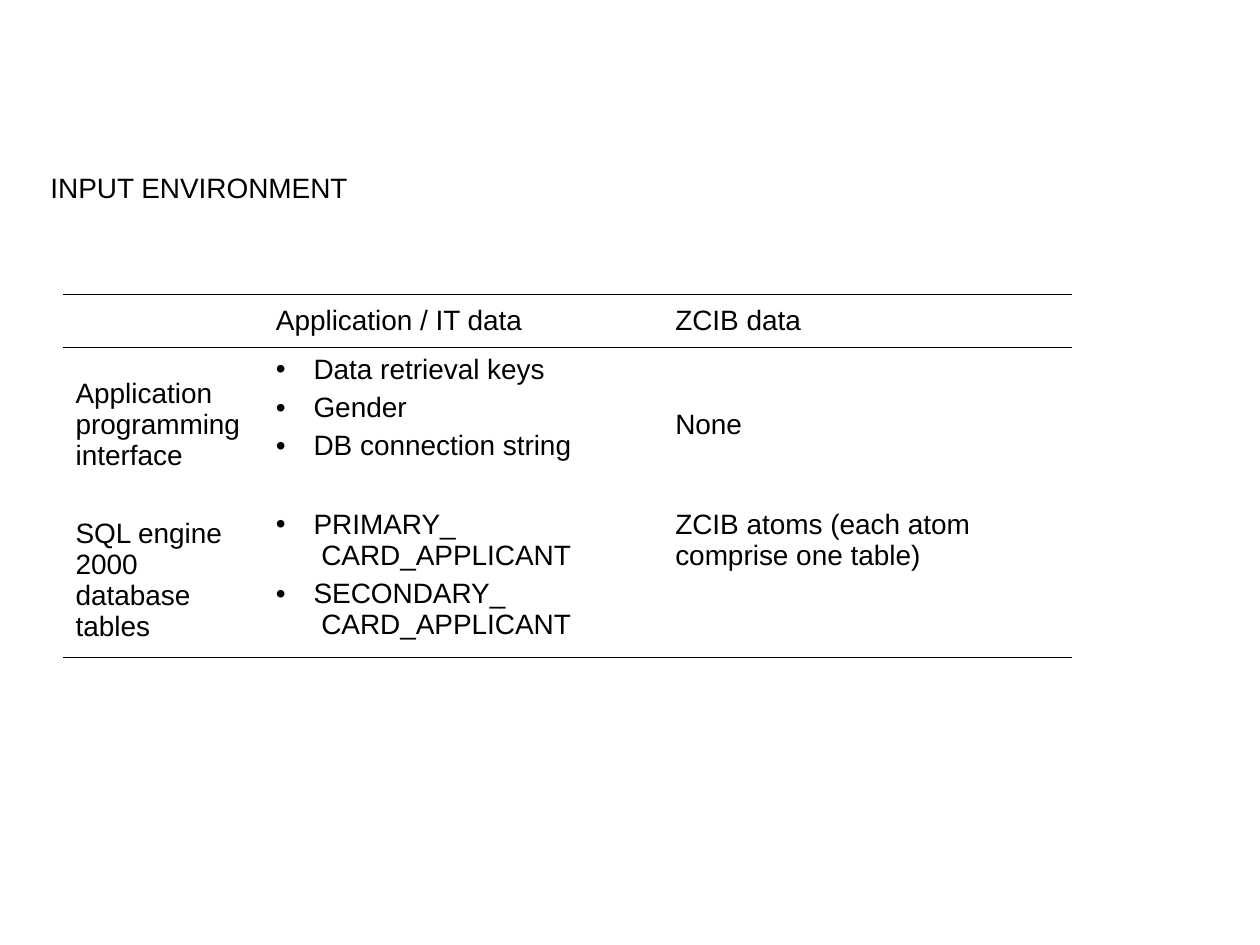
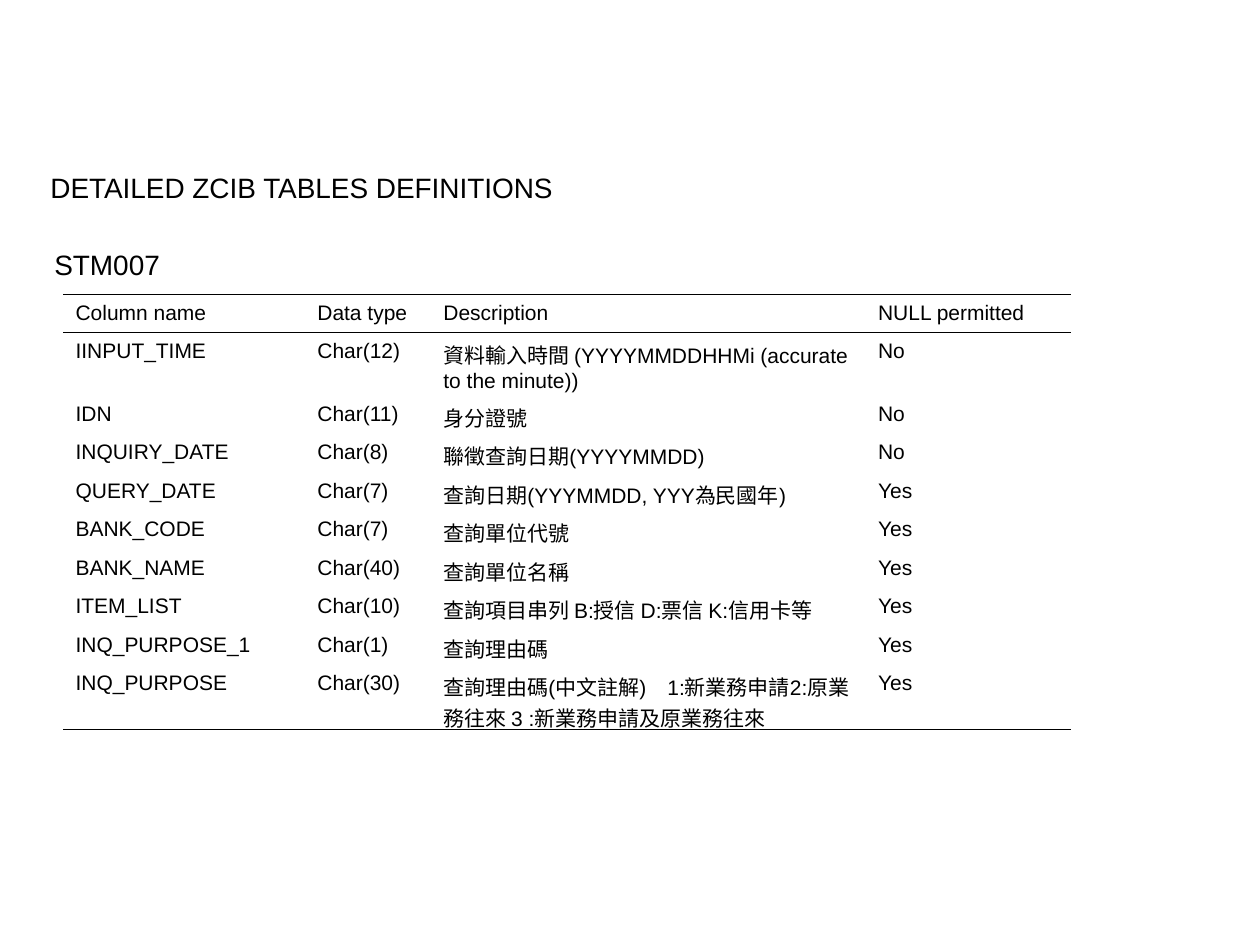
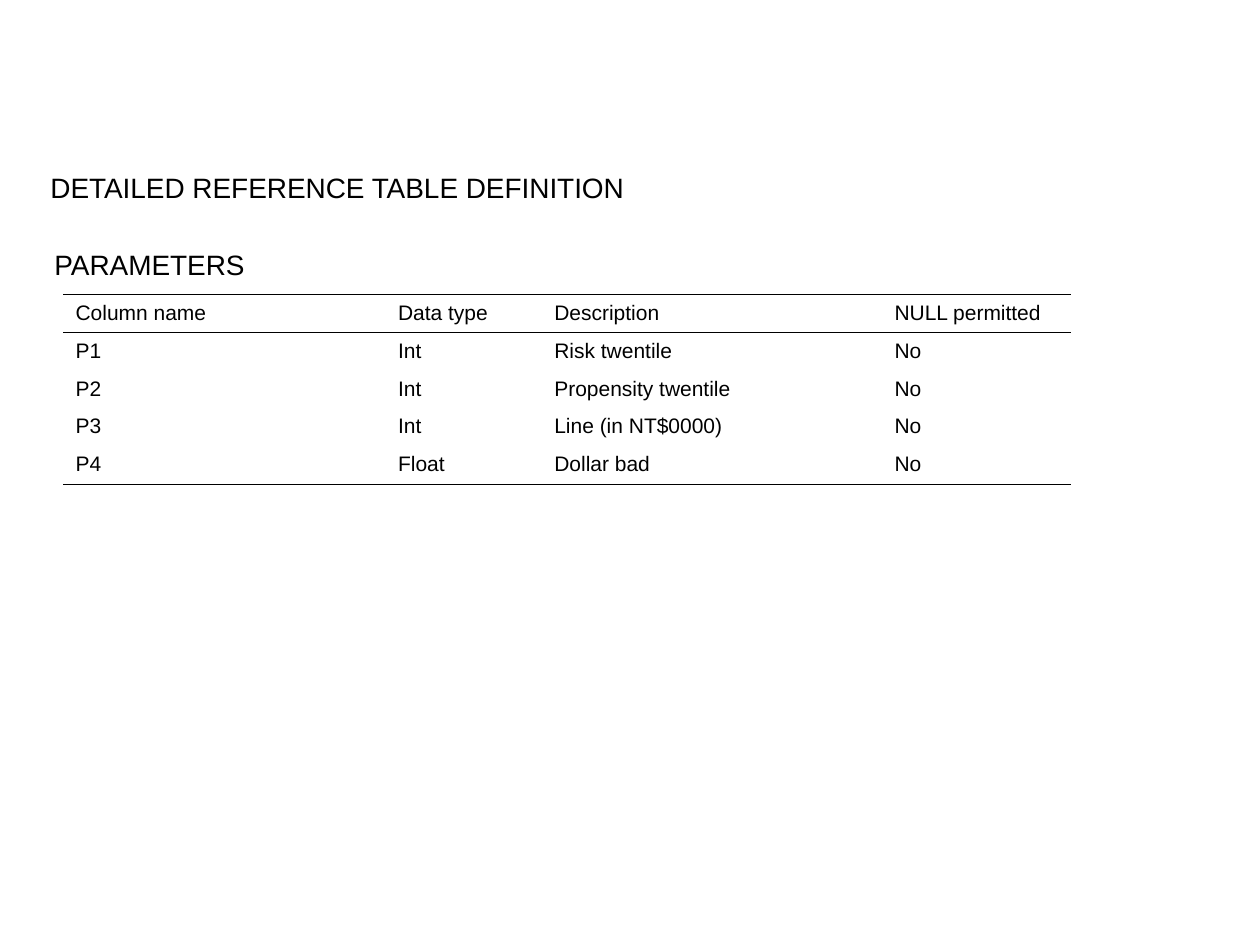
from lxml.etree import SubElement
from pptx import Presentation
from pptx.dml.color import RGBColor
from pptx.enum.text import MSO_ANCHOR, MSO_AUTO_SIZE, PP_ALIGN
from pptx.oxml.ns import qn
from pptx.util import Pt

BLACK = RGBColor(0, 0, 0)
FONT = "Arial"
HEADING_SIZE = 16
OUTER_LINE = 0.75
HEADER_LINE = 0.45
BULLET_INDENT = Pt(21.5)

DEFINITION_HEADER = ["Column name", "Data type", "Description", "NULL permitted"]

PAGES = [
    {
        "title": "INPUT ENVIRONMENT",
        "subtitle": None,
        "size": 16,
        "widths": [114.5, 228.2, 234],
        "heights": [30.2, 88.6, 88.6],
        "middle": {(0, 1), (0, 2), (1, 0), (1, 2), (2, 0)},
        "rows": [
            ["", "Application / IT data", "ZCIB data"],
            [
                "Application programming interface",
                ["Data retrieval keys", "Gender", "DB connection string"],
                "None",
            ],
            [
                "SQL engine 2000 database tables",
                ["PRIMARY_\v CARD_APPLICANT", "SECONDARY_\v CARD_APPLICANT"],
                "ZCIB atoms (each atom comprise one table)",
            ],
        ],
    },
    {
        "title": "DETAILED ZCIB TABLES DEFINITIONS",
        "subtitle": "STM007",
        "size": 12,
        "widths": [138.2, 72, 248.4, 117.4],
        "heights": [21.7, 36] + [22] * 7 + [36.7],
        "middle": set(),
        "rows": [
            DEFINITION_HEADER,
            ["IINPUT_TIME", "Char(12)", "資料輸入時間 (YYYYMMDDHHMi (accurate to the minute))", "No"],
            ["IDN", "Char(11)", "身分證號", "No"],
            ["INQUIRY_DATE", "Char(8)", "聯徵查詢日期(YYYYMMDD)", "No"],
            ["QUERY_DATE", "Char(7)", "查詢日期(YYYMMDD, YYY為民國年)", "Yes"],
            ["BANK_CODE", "Char(7)", "查詢單位代號", "Yes"],
            ["BANK_NAME", "Char(40)", "查詢單位名稱", "Yes"],
            ["ITEM_LIST", "Char(10)", "查詢項目串列 B:授信 D:票信 K:信用卡等", "Yes"],
            ["INQ_PURPOSE_1", "Char(1)", "查詢理由碼", "Yes"],
            [
                "INQ_PURPOSE",
                "Char(30)",
                "查詢理由碼(中文註解)　1:新業務申請2:原業務往來 3 :新業務申請及原業務往來",
                "Yes",
            ],
        ],
    },
    {
        "title": "DETAILED REFERENCE TABLE DEFINITION",
        "subtitle": "PARAMETERS",
        "size": 12,
        "widths": [184.3, 89.3, 194.4, 108],
        "heights": [21.7] * 5,
        "middle": set(),
        "rows": [
            DEFINITION_HEADER,
            ["P1", "Int", "Risk twentile", "No"],
            ["P2", "Int", "Propensity twentile", "No"],
            ["P3", "Int", "Line (in NT$0000)", "No"],
            ["P4", "Float", "Dollar bad", "No"],
        ],
    },
]


def write(para, text, size):
    para.text = text
    para.alignment = PP_ALIGN.LEFT
    para.font.name = FONT
    para.font.size = Pt(size)
    para.font.color.rgb = BLACK


def add_border(cell, side, width):
    line = SubElement(cell._tc.get_or_add_tcPr(), qn(f"a:ln{side}"), w=str(Pt(width)))
    if width:
        fill = SubElement(line, qn("a:solidFill"))
        SubElement(fill, qn("a:srgbClr"), val=str(BLACK))
    else:
        SubElement(line, qn("a:noFill"))


deck = Presentation()
deck.slide_width = Pt(720)
deck.slide_height = Pt(540)
title_only = deck.slide_layouts[5]

for content in PAGES:
    page = deck.slides.add_slide(title_only)
    title = page.shapes.title
    title.left, title.top, title.width, title.height = Pt(21.6), Pt(93.6), Pt(669), Pt(26.6)
    title.text_frame.auto_size = MSO_AUTO_SIZE.NONE
    title.text_frame.vertical_anchor = MSO_ANCHOR.TOP
    write(title.text_frame.paragraphs[0], content["title"], HEADING_SIZE)

    if content["subtitle"]:
        box = page.shapes.add_textbox(Pt(24), Pt(138.2), Pt(124), Pt(26.6))
        box.text_frame.word_wrap = True
        write(box.text_frame.paragraphs[0], content["subtitle"], HEADING_SIZE)

    rows, widths, heights = content["rows"], content["widths"], content["heights"]
    table = page.shapes.add_table(
        len(rows), len(widths), Pt(36), Pt(168.4), Pt(sum(widths)), Pt(sum(heights))
    ).table
    table.first_row = False
    table.horz_banding = False
    for column, width in zip(table.columns, widths):
        column.width = Pt(width)

    for row_index, values in enumerate(rows):
        table.rows[row_index].height = Pt(heights[row_index])
        top_line = {0: OUTER_LINE, 1: HEADER_LINE}.get(row_index, 0)
        bottom_line = {0: HEADER_LINE, len(rows) - 1: OUTER_LINE}.get(row_index, 0)
        for column_index, value in enumerate(values):
            cell = table.cell(row_index, column_index)
            for side, width in zip("LRTB", (0, 0, top_line, bottom_line)):
                add_border(cell, side, width)
            cell.fill.background()
            if (row_index, column_index) in content["middle"]:
                cell.vertical_anchor = MSO_ANCHOR.MIDDLE
            bulleted = isinstance(value, list)
            for index, text in enumerate(value if bulleted else [value]):
                frame = cell.text_frame
                para = frame.add_paragraph() if index else frame.paragraphs[0]
                if index:
                    para.space_before = Pt(4)
                if bulleted:
                    properties = para._p.get_or_add_pPr()
                    properties.set("marL", str(BULLET_INDENT))
                    properties.set("indent", str(-BULLET_INDENT))
                    SubElement(properties, qn("a:buFont"), typeface=FONT)
                    SubElement(properties, qn("a:buChar"), char="•")
                write(para, text, content["size"])

deck.save("out.pptx")
